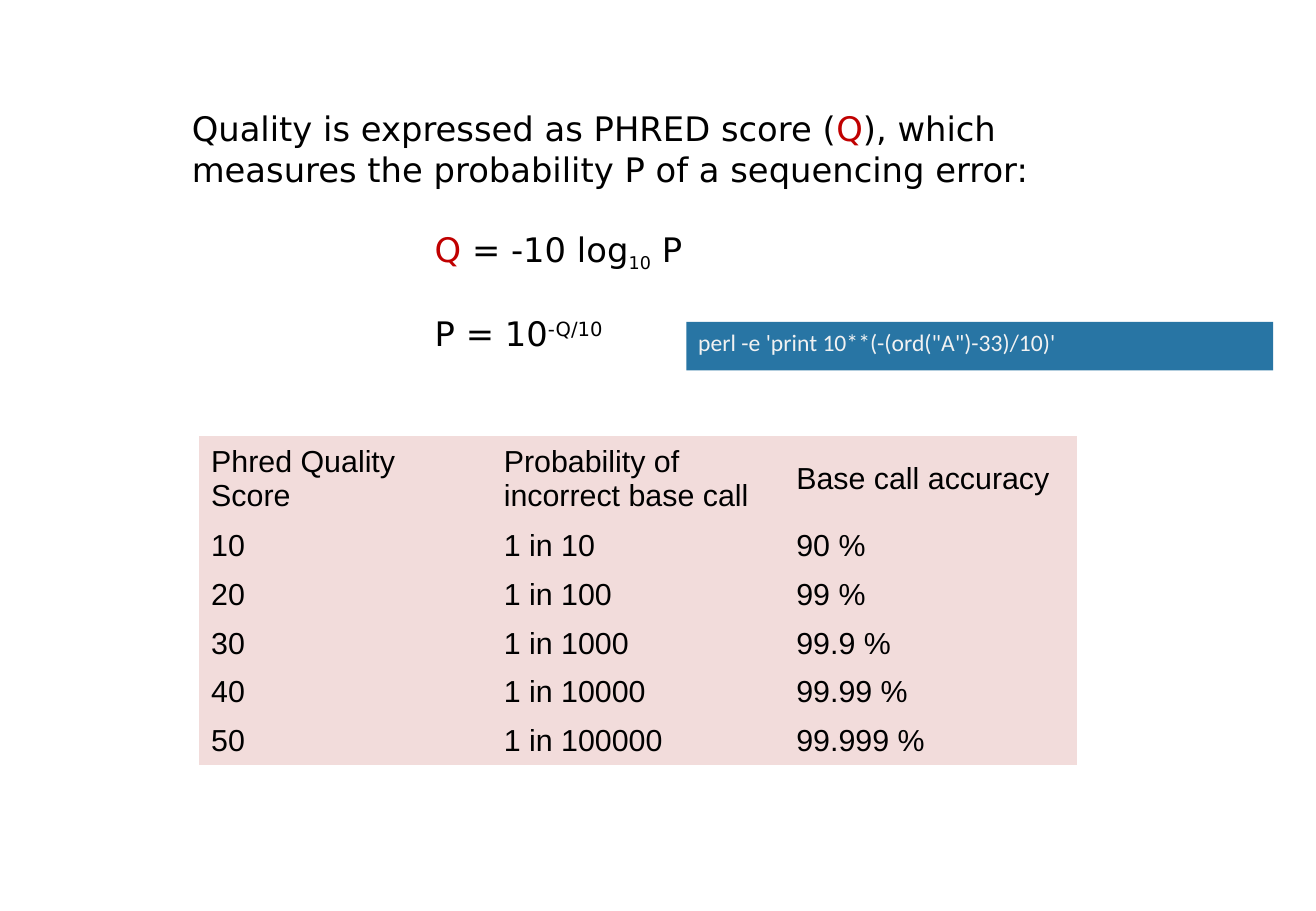
from pptx import Presentation
from pptx.dml.color import RGBColor
from pptx.enum.shapes import MSO_SHAPE
from pptx.enum.text import MSO_ANCHOR, MSO_AUTO_SIZE, PP_ALIGN
from pptx.util import Pt

RECTANGLE = MSO_SHAPE.RECTANGLE
TOP, MIDDLE = MSO_ANCHOR.TOP, MSO_ANCHOR.MIDDLE
GROW = MSO_AUTO_SIZE.SHAPE_TO_FIT_TEXT
LEFT = PP_ALIGN.LEFT
BLANK_LAYOUT = 6
NO_GRID_STYLE = "{2D5ABB26-0587-4C30-8999-92F81FD0307C}"


def rgb(value):
    return RGBColor.from_string(value)


class SlideBuilder:
    BLACK = "000000"
    RED = "C00000"
    PINK = "F2DCDB"
    BLUE = "2875A4"
    PALE = "F2F2F2"
    STATEMENT_FONT = "DejaVu Sans"
    TABLE_FONT = "Arial"
    CODE_FONT = "Calibri"

    def __init__(self, slide):
        self.slide = slide

    def style(self, paragraph, font, size, color=None):
        paragraph.alignment = LEFT
        paragraph.font.name = font
        paragraph.font.size = Pt(size)
        if color:
            paragraph.font.color.rgb = rgb(color)

    def statement(self, left, top, width, height, lines):
        frame = self.slide.shapes.add_textbox(
            Pt(left), Pt(top), Pt(width), Pt(height)).text_frame
        frame.word_wrap = True
        frame.auto_size = GROW
        for index, (indent, gap, parts) in enumerate(lines):
            line = frame.add_paragraph() if index else frame.paragraphs[0]
            self.style(line, self.STATEMENT_FONT, 20)
            line.space_before = Pt(gap)
            line._p.get_or_add_pPr().set("marL", str(Pt(indent)))
            for words, color, size, baseline in parts:
                run = line.add_run()
                run.text = words
                run.font.color.rgb = rgb(color)
                if size:
                    run.font.size = Pt(size)
                if baseline:
                    run._r.get_or_add_rPr().set("baseline", str(baseline * 1000))

    def table(self, left, top, column_width, heights, rows):
        columns = len(rows[0])
        table = self.slide.shapes.add_table(
            len(rows), columns, Pt(left), Pt(top),
            Pt(column_width * columns), Pt(sum(heights))).table
        table.first_row = table.horz_banding = False
        table._tbl.tblPr[0].text = NO_GRID_STYLE
        for column in table.columns:
            column.width = Pt(column_width)
        for row, height, values in zip(table.rows, heights, rows):
            row.height = Pt(height)
            for cell, value in zip(row.cells, values):
                cell.text = value
                cell.vertical_anchor = MIDDLE
                cell.fill.solid()
                cell.fill.fore_color.rgb = rgb(self.PINK)
                self.style(cell.text_frame.paragraphs[0],
                           self.TABLE_FONT, 18, self.BLACK)

    def command(self, left, top, width, height, code):
        bar = self.slide.shapes.add_shape(
            RECTANGLE, Pt(left), Pt(top), Pt(width), Pt(height))
        bar.shadow.inherit = False
        bar.fill.solid()
        bar.fill.fore_color.rgb = rgb(self.BLUE)
        bar.line.fill.background()
        bar.text_frame.word_wrap = True
        bar.text_frame.vertical_anchor = TOP
        bar.text_frame.text = code
        self.style(bar.text_frame.paragraphs[0], self.CODE_FONT, 14, self.PALE)


def main():
    deck = Presentation()
    deck.slide_width, deck.slide_height = Pt(780), Pt(540)
    builder = SlideBuilder(deck.slides.add_slide(deck.slide_layouts[BLANK_LAYOUT]))
    black, red = builder.BLACK, builder.RED

    definition = [
        ("Quality is expressed as PHRED score (", black, None, 0),
        ("Q", red, None, 0),
        ("), which measures the probability P of a sequencing error:", black, None, 0),
    ]
    score_formula = [
        ("Q", red, None, 0),
        (" = -10 log", black, None, 0),
        ("10", black, 18, -25),
        (" P", black, None, 0),
    ]
    probability_formula = [
        ("P = 10", black, None, 0),
        ("-Q/10", black, None, 30),
    ]
    builder.statement(106.6, 60.5, 558.7, 177, [
        (0, 0, definition),
        (144, 23.3, score_formula),
        (144, 23.3, probability_formula),
    ])

    accuracies = ["90", "99", "99.9", "99.99", "99.999"]
    scores = [("Phred Quality Score", "Probability of incorrect base call",
               "Base call accuracy")]
    for power, accuracy in enumerate(accuracies, start=1):
        scores.append((str(10 * power), f"1 in {10 ** power}", f"{accuracy} %"))
    builder.table(118, 258.5, 173.4, [51] + [28.8] * len(accuracies), scores)

    builder.command(406.8, 190.8, 347.8, 28.8,
                    "perl -e 'print 10**(-(ord(\"A\")-33)/10)'")
    deck.save("out.pptx")


if __name__ == "__main__":
    main()
